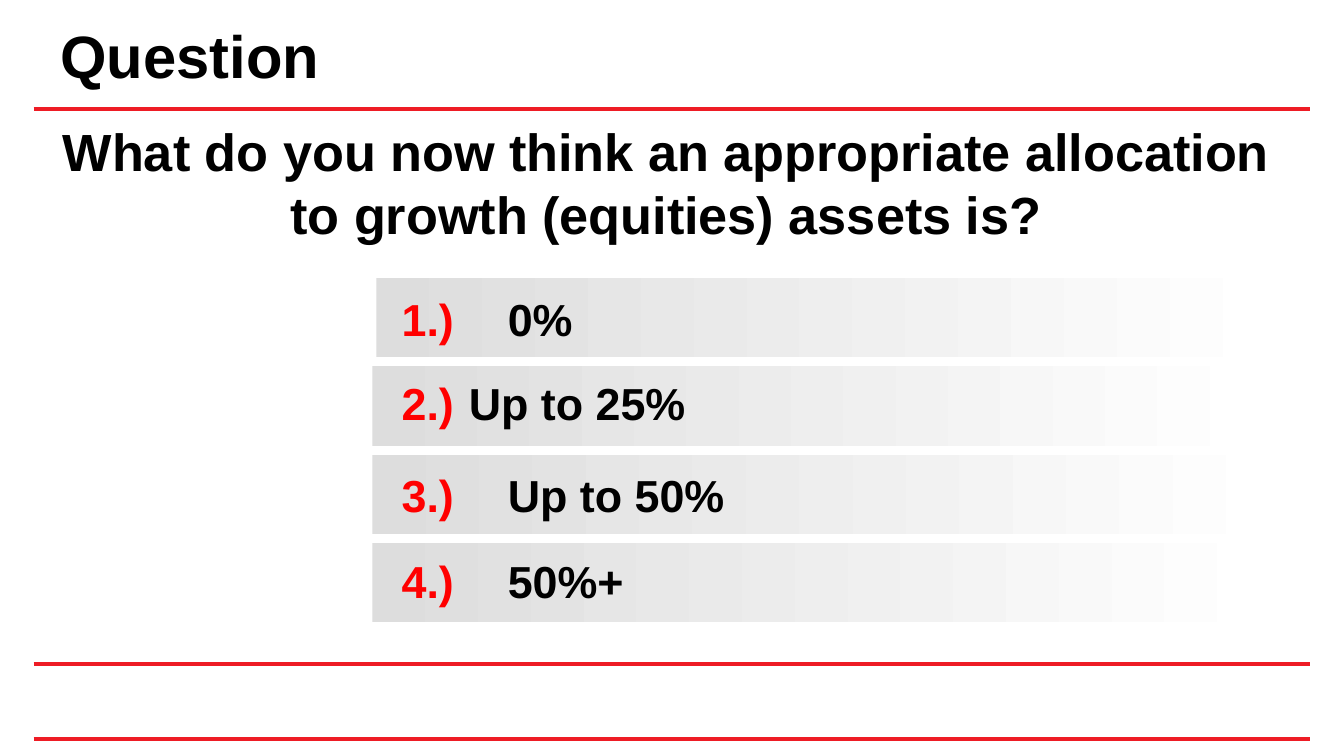
from lxml import etree
from pptx import Presentation
from pptx.dml.color import RGBColor
from pptx.enum.shapes import MSO_CONNECTOR, MSO_SHAPE
from pptx.enum.text import MSO_ANCHOR, PP_ALIGN
from pptx.oxml.ns import qn
from pptx.util import Inches, Pt

STRAIGHT, RECTANGLE = MSO_CONNECTOR.STRAIGHT, MSO_SHAPE.RECTANGLE
TOP, MIDDLE = MSO_ANCHOR.TOP, MSO_ANCHOR.MIDDLE
LEFT, CENTER = PP_ALIGN.LEFT, PP_ALIGN.CENTER
BLACK = RGBColor(0x00, 0x00, 0x00)
RED = RGBColor(0xFF, 0x00, 0x00)
RULE_RED = RGBColor(0xEE, 0x1C, 0x25)
GREY = RGBColor(0xDD, 0xDD, 0xDD)
WHITE = RGBColor(0xFF, 0xFF, 0xFF)
FONT = "Arial"

TITLE = "Question"
QUESTION = "What do you now think an appropriate allocation to growth (equities) assets is?"
HANGING = {"margin": 0.49, "indent": -0.29, "tab": 1.53}
FLUSH = {"margin": 0.2, "indent": 0, "tab": 1.5, "line_spacing": 0.85}
# answer, bar left, bar width, text top, text width, text height, paragraph format
ANSWERS = [
    ("0%", 2.8, 6.69, 2.12, 7.05, 0.48, HANGING),
    ("Up to 25%", 2.77, 6.62, 2.81, 5.62, 0.44, FLUSH),
    ("Up to 50%", 2.77, 6.75, 3.43, 7.21, 0.39, HANGING),
    ("50%+", 2.77, 6.68, 4.07, 5.72, 0.4, HANGING),
]
RULES = [0.81, 4.94, 5.5]
WIDTH, SIDE = 10, 0.25
HEIGHT = WIDTH * 9 / 16
FIRST_BAR, LAST_BAR, BAR_HEIGHT = 2.07, 4.04, 0.59
BAR_PITCH = (LAST_BAR - FIRST_BAR) / (len(ANSWERS) - 1)
ANSWER_LEFT = 2.69


def write(box, spans, size, align=LEFT, anchor=TOP, margin=0, indent=0, tab=None,
          line_spacing=None):
    """Fill a box with one bold paragraph of (text, colour) spans."""
    frame = box.text_frame
    frame.word_wrap = True
    frame.vertical_anchor = anchor
    para = frame.paragraphs[0]
    properties = para._p.get_or_add_pPr()
    properties.set("marL", str(Inches(margin)))
    properties.set("indent", str(Inches(indent)))
    if tab:
        tabs = etree.SubElement(properties, qn("a:tabLst"))
        etree.SubElement(tabs, qn("a:tab"), pos=str(Inches(tab)), algn="l")
    para.alignment = align
    if line_spacing:
        para.line_spacing = line_spacing
    for text, color in spans:
        span = para.add_run()
        span.text = text
        span.font.name, span.font.size, span.font.bold = FONT, Pt(size), True
        span.font.color.rgb = color


def add_rule(page, top):
    rule = page.shapes.add_connector(
        STRAIGHT, Inches(SIDE), Inches(top), Inches(WIDTH - SIDE), Inches(top))
    rule.line.color.rgb = RULE_RED
    rule.line.width = Pt(2)
    etree.SubElement(rule._element.spPr, qn("a:effectLst"))


def add_bar(page, left, top, width):
    bar = page.shapes.add_shape(
        RECTANGLE, Inches(left), Inches(top), Inches(width), Inches(BAR_HEIGHT))
    bar.shadow.inherit = False
    bar.line.fill.background()
    bar.fill.gradient()
    bar.fill.gradient_angle = 0
    for stop, color, position in zip(bar.fill.gradient_stops, (GREY, WHITE), (0, 1)):
        stop.color.rgb = color
        stop.position = position


def add_text(page, left, top, width, height, spans, size, **text_format):
    box = page.shapes.add_textbox(
        Inches(left), Inches(top), Inches(width), Inches(height))
    write(box, spans, size, **text_format)


deck = Presentation()
deck.slide_width, deck.slide_height = Inches(WIDTH), Inches(HEIGHT)
page = deck.slides.add_slide(deck.slide_layouts[5])

title = page.shapes.title
title.left, title.top = Inches(0.35), Inches(0.12)
title.width, title.height = Inches(9), Inches(0.57)
write(title, [(TITLE, BLACK)], 32, anchor=MIDDLE)

for rule_top in RULES:
    add_rule(page, rule_top)

add_text(page, 0.31, 0.84, 9.29, 1.24, [(QUESTION, BLACK)], 28, align=CENTER)

for row, (answer, bar_left, bar_width, top, width, height, layout) in enumerate(ANSWERS):
    add_bar(page, bar_left, FIRST_BAR + row * BAR_PITCH, bar_width)
    spans = [(f"{row + 1}.) \t", RED), (answer, BLACK)]
    add_text(page, ANSWER_LEFT, top, width, height, spans, 24, **layout)

deck.save("out.pptx")
